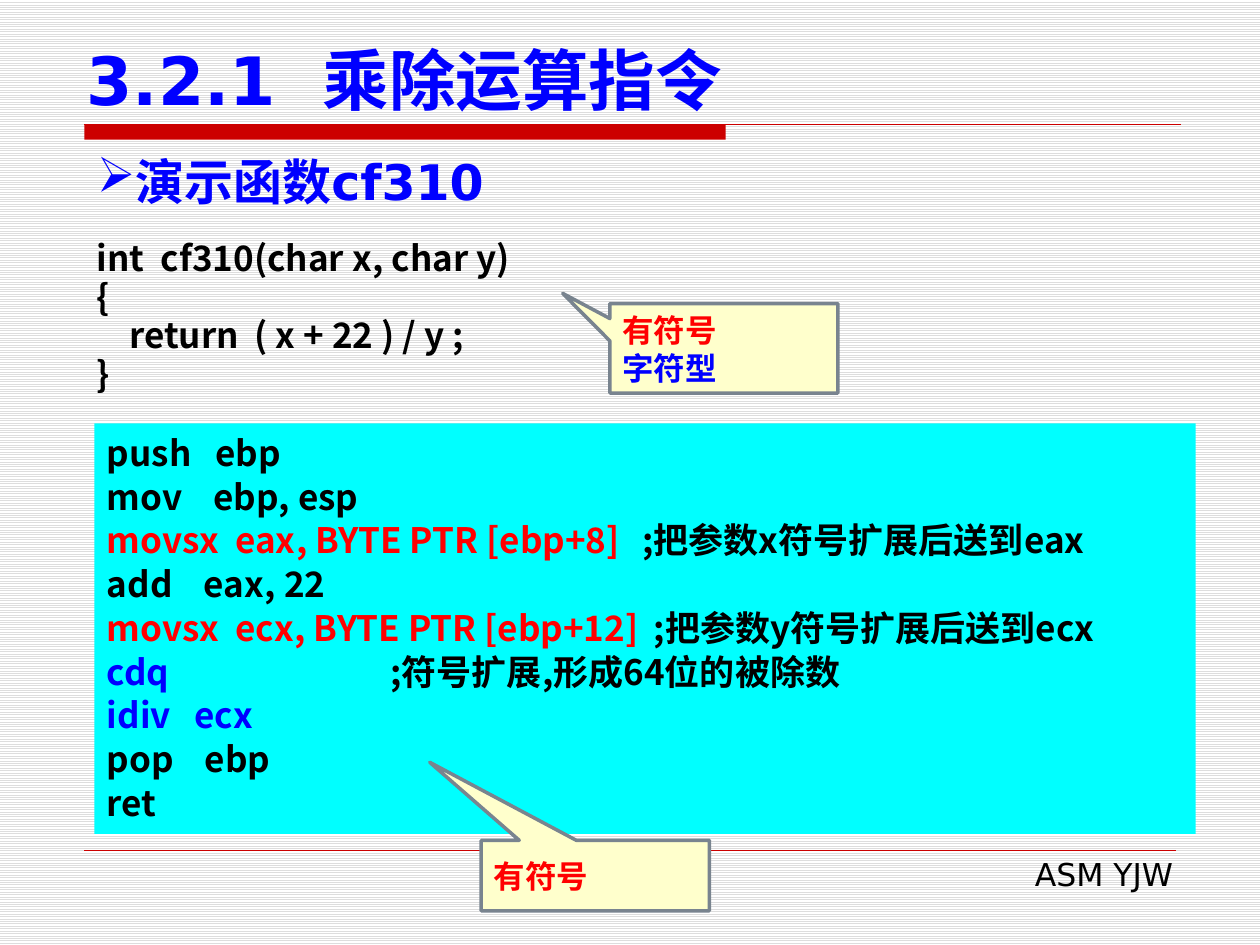
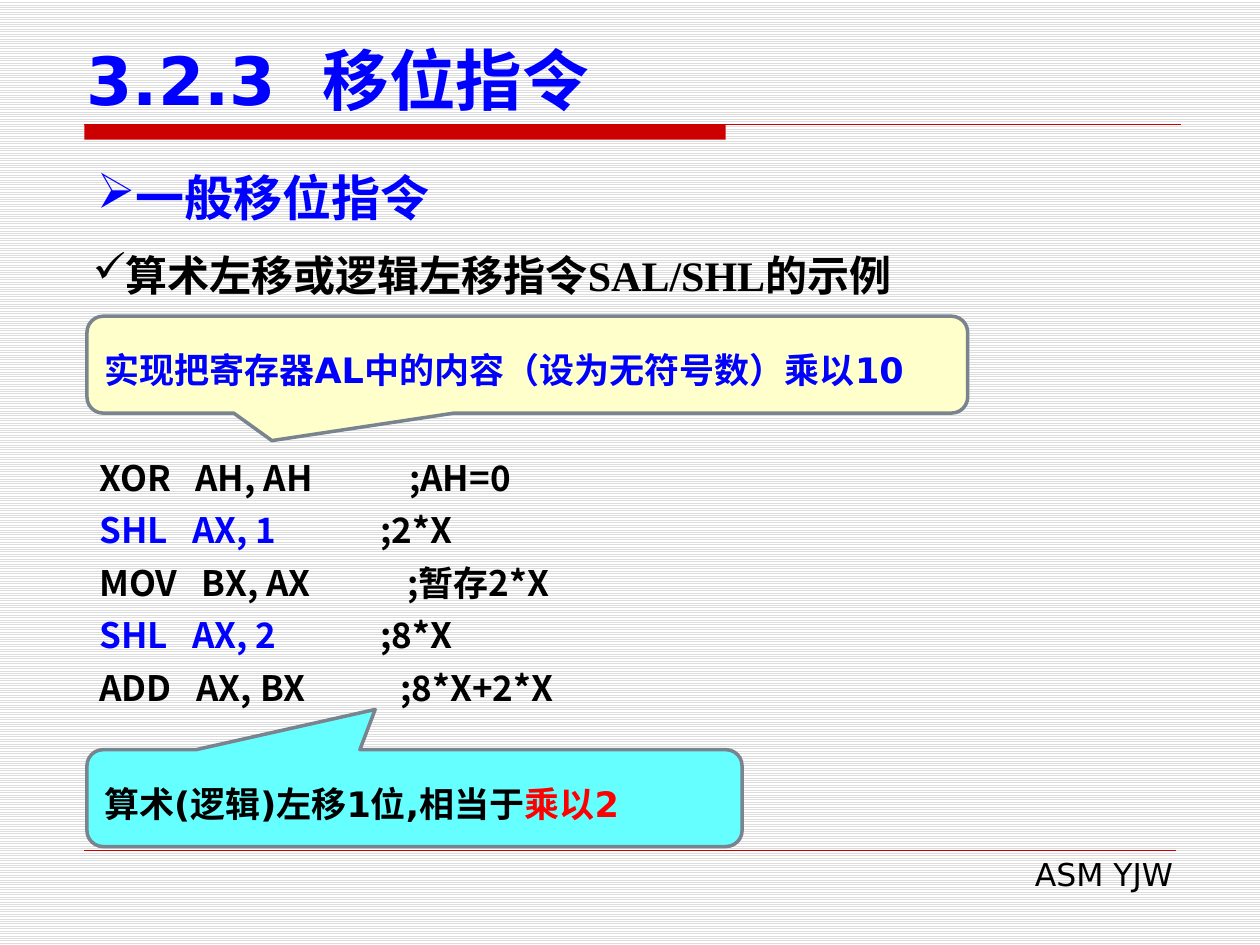
from lxml.etree import SubElement
from pptx import Presentation
from pptx.dml.color import RGBColor
from pptx.enum.dml import MSO_PATTERN
from pptx.enum.shapes import MSO_CONNECTOR, MSO_SHAPE
from pptx.enum.text import MSO_ANCHOR, PP_ALIGN
from pptx.oxml.ns import qn
from pptx.util import Pt

BLACK = RGBColor(0x00, 0x00, 0x00)
WHITE = RGBColor(0xFF, 0xFF, 0xFF)
BLUE = RGBColor(0x00, 0x00, 0xFF)
RED = RGBColor(0xFF, 0x00, 0x00)
BAND = RGBColor(0xCC, 0x00, 0x00)
STRIPE = RGBColor(0xDD, 0xDD, 0xDD)
CYAN = RGBColor(0x00, 0xFF, 0xFF)
AQUA = RGBColor(0x66, 0xFF, 0xFF)
CREAM = RGBColor(0xFF, 0xFF, 0xCC)
OUTLINE = RGBColor(0x79, 0x84, 0x8F)

SANS = "DejaVu Sans"
CJK = "Noto Sans CJK SC"
SERIF = "Times New Roman"
LEFT = 48.25  # left edge of the band and the footer rule


def add_run(p, text, size, color, font=SANS, bold=True):
    """Append one formatted run, with the CJK font for Chinese characters."""
    r = p.add_run()
    r.text = text
    r.font.size = Pt(size)
    r.font.bold = bold
    r.font.color.rgb = color
    r.font.name = font
    SubElement(r._r.get_or_add_rPr(), qn("a:ea"), typeface=CJK)


def set_bullet(p, char):
    """Give a paragraph a character bullet."""
    SubElement(p._p.get_or_add_pPr(), qn("a:buChar"), char=char)


def set_tabs(p, stops):
    """Set left tab stops, in points from the text edge."""
    tabs = SubElement(p._p.get_or_add_pPr(), qn("a:tabLst"))
    for stop in stops:
        SubElement(tabs, qn("a:tab"), pos=str(Pt(stop)), algn="l")


def add_box(slide, x, y, w, h, anchor=MSO_ANCHOR.TOP):
    """Add a wrapping text box and return its text frame."""
    tf = slide.shapes.add_textbox(Pt(x), Pt(y), Pt(w), Pt(h)).text_frame
    tf.word_wrap = True
    tf.vertical_anchor = anchor
    return tf


def add_shape(slide, kind, x, y, w, h, fill, line=None):
    """Add a flat filled shape with an optional outline."""
    sp = slide.shapes.add_shape(kind, Pt(x), Pt(y), Pt(w), Pt(h))
    sp.shadow.inherit = False
    sp.fill.solid()
    sp.fill.fore_color.rgb = fill
    if line is None:
        sp.line.fill.background()
    else:
        sp.line.color.rgb = line
        sp.line.width = Pt(2)
    return sp


def add_rule(slide, y, right, width):
    """Draw a horizontal red rule from the left margin."""
    ln = slide.shapes.add_connector(
        MSO_CONNECTOR.STRAIGHT, Pt(LEFT), Pt(y), Pt(right), Pt(y))
    ln.line.color.rgb = BAND
    ln.line.width = Pt(width)
    SubElement(ln._element.spPr, qn("a:effectLst"))


def add_line(tf, runs, spacing, font, size, first):
    """Write one left-aligned line of (text, colour) runs."""
    p = tf.paragraphs[0] if first else tf.add_paragraph()
    p.alignment = PP_ALIGN.LEFT
    p.line_spacing = Pt(spacing)
    for text, color in runs:
        add_run(p, text, size, color, font)
    return p


def write_code(tf, lines, spacing):
    """Write code lines, each a list of tab stops followed by its runs."""
    for i, (stops, *runs) in enumerate(lines):
        p = add_line(tf, runs, spacing, CJK, 20, i == 0)
        if stops:
            set_tabs(p, stops)


def add_callout(slide, kind, box, adjust, fill, lines, spacing, size):
    """Add a speech callout whose pointer is set by its adjustments."""
    sp = add_shape(slide, kind, *box, fill, OUTLINE)
    for i, value in enumerate(adjust):
        sp.adjustments[i] = value
    tf = sp.text_frame
    tf.word_wrap = True
    tf.vertical_anchor = MSO_ANCHOR.MIDDLE
    for i, runs in enumerate(lines):
        add_line(tf, runs, spacing, SANS, size, i == 0)


def add_heading(slide, y, text):
    """Add the arrow-bulleted section heading."""
    p = add_box(slide, LEFT, y, 623.5, 41).paragraphs[0]
    p.alignment = PP_ALIGN.JUSTIFY
    set_bullet(p, "➢")
    add_run(p, text, 28, BLUE)


def new_slide(prs, title):
    """Add a slide with the title, red band and footer."""
    slide = prs.slides.add_slide(prs.slide_layouts[6])
    add_shape(slide, MSO_SHAPE.RECTANGLE, LEFT, 71.3, 366.5, 8.6, BAND)
    add_rule(slide, 71.3, 674.6, 0.75)
    add_rule(slide, 486, 671.8, 0.25)
    p = add_box(slide, 275, 485.3, 402.5, 28.8).paragraphs[0]
    p.alignment = PP_ALIGN.RIGHT
    add_run(p, "ASM YJW", 18, BLACK, bold=False)
    tf = add_box(slide, 42.5, 20.2, 652.3, 51.1, MSO_ANCHOR.BOTTOM)
    add_run(tf.paragraphs[0], title, 38, BLUE)
    return slide


def division_slide(prs):
    """Build the signed division example."""
    slide = new_slide(prs, "3.2.1  乘除运算指令")
    add_heading(slide, 82.8, "演示函数cf310")

    tf = add_box(slide, LEFT, 133.9, 652.3, 96.5)
    write_code(tf, [
        ([], ("int  cf310(char x, char y)", BLACK)),
        ([], ("{", BLACK)),
        ([18.5], ("\treturn  ( x + 22 ) / y ;", BLACK)),
        ([], ("}", BLACK)),
    ], 22)

    sp = add_shape(slide, MSO_SHAPE.RECTANGLE, 54, 241.9, 629.3, 234.7, CYAN)
    tf = sp.text_frame
    tf.word_wrap = True
    tf.vertical_anchor = MSO_ANCHOR.TOP
    write_code(tf, [
        ([62], ("push\tebp", BLACK)),
        ([61], ("mov\tebp, esp", BLACK)),
        ([306], ("movsx  eax, BYTE PTR [ebp+8]\t", RED),
         (";把参数x符号扩展后送到eax", BLACK)),
        ([55.5], ("add\teax, 22", BLACK)),
        ([312.5], ("movsx  ecx, BYTE PTR [ebp+12]\t", RED),
         (";把参数y符号扩展后送到ecx", BLACK)),
        ([162], ("cdq\t", BLUE), (";符号扩展,形成64位的被除数".replace(",", ","), BLACK)),
        ([50], ("idiv\tecx", BLUE)),
        ([56], ("pop\tebp", BLACK)),
        ([], ("ret", BLACK)),
    ], 25)

    kind = MSO_SHAPE.RECTANGULAR_CALLOUT
    signed = [("有符号", RED)]
    add_callout(slide, kind, (348.5, 173.5, 130.3, 51.1), (-0.707, -0.615),
                CREAM, [signed, [("字符型", BLUE)]], 22, 18)
    add_callout(slide, kind, (275, 480.2, 130.3, 40.3), (-0.726, -1.606),
                CREAM, [signed], 22, 18)


def shift_slide(prs):
    """Build the left shift example."""
    slide = new_slide(prs, "3.2.3  移位指令")

    tf = add_box(slide, 49.7, 251.3, 648, 158.4)
    write_code(tf, [
        ([55, 177], ("XOR\tAH, AH\t;AH=0", BLACK)),
        ([53, 160.5], ("SHL\tAX, 1\t", BLUE), (";2*X", BLACK)),
        ([58.5, 176], ("MOV\tBX, AX\t;暂存2*X", BLACK)),
        ([53, 160.5], ("SHL\tAX, 2\t", BLUE), (";8*X", BLACK)),
        ([55.5, 172], ("ADD\tAX, BX\t;8*X+2*X", BLACK)),
    ], 30)

    p = add_box(slide, 46, 139, 527.8, 36).paragraphs[0]
    set_bullet(p, "✓")
    add_run(p, "算术左移或逻辑左移指令SAL/SHL的示例", 24, BLACK, SERIF)
    add_heading(slide, 92.2, "一般移位指令")

    kind = MSO_SHAPE.ROUNDED_RECTANGULAR_CALLOUT
    add_callout(slide, kind, (49.7, 428.4, 374.4, 55.4), (-0.06, -0.915, 0.167),
                AQUA, [[("算术(逻辑)左移1位,相当于".translate(
                    str.maketrans("(),", "(),")), BLACK), ("乘以2", RED)]], 30, 20)
    add_callout(slide, kind, (49.7, 180.7, 503.3, 55.4), (-0.29, 0.784, 0.167),
                CREAM, [[("实现把寄存器AL中的内容\uff08设为无符号数\uff09乘以10", BLUE)]],
                30, 20)


def main():
    """Create the deck and save it."""
    prs = Presentation()
    prs.slide_width, prs.slide_height = Pt(720), Pt(540)
    fill = prs.slide_master.background.fill
    fill.patterned()
    fill.pattern = MSO_PATTERN.LIGHT_HORIZONTAL
    fill.fore_color.rgb = STRIPE
    fill.back_color.rgb = WHITE
    division_slide(prs)
    shift_slide(prs)
    prs.save("out.pptx")


main()
